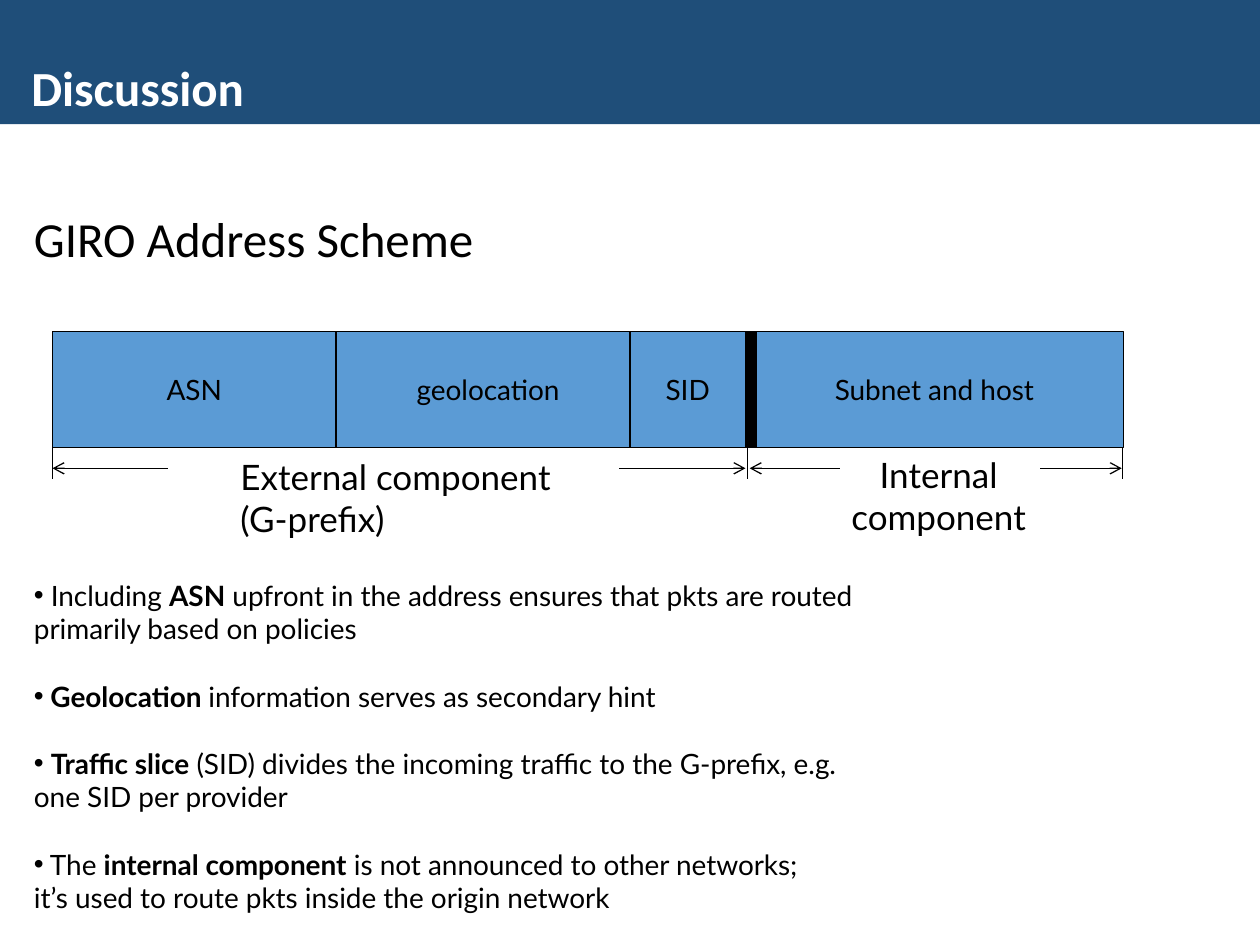
from lxml import etree
from pptx import Presentation
from pptx.dml.color import RGBColor
from pptx.enum import shapes, text
from pptx.oxml import ns
from pptx.util import Pt

COLORS = {"band": "1F4E79", "field": "5B9BD5", "ink": "000000", "paper": "FFFFFF"}
HEADING = "Discussion"
SCHEME = "GIRO Address Scheme"
FIELDS = [
    ("ASN", 30, 162),
    ("geolocation", 192, 174),
    ("SID", 360, 66),
    ("Subnet and host", 426, 216),
]
FIELD_TOP, FIELD_HEIGHT, DIVIDER_WIDTH = 189.4, 66.2, 6
TICKS = [30, 427, 641.5]
ARROWS = [(30, 96), (426, 354), (428.4, 480), (641, 594)]
COMPONENTS = [
    (["External component", "(G-prefix)"], (130.3, 257, 203, 55.4), "LEFT"),
    (["Internal component"], (467.3, 255.6, 138.2, 55.4), "CENTER"),
]
POINTS = [
    [(" Including ", False), ("ASN", True),
     (" upfront in the address ensures that pkts are routed\nprimarily based on policies", False)],
    [(" Geolocation ", True), ("information serves as secondary hint", False)],
    [(" ", False), ("Traffic slice", True),
     (" (SID) divides the incoming traffic to the G-prefix, e.g.\none SID per provider", False)],
    [(" The ", False), ("internal component", True),
     (" is not announced to other networks; \nit’s used to route pkts inside the origin network", False)],
]


def rgb(name):
    return RGBColor.from_string(COLORS[name])


def style(paragraph, size, font="Lato", color="ink", align="LEFT", bold=False):
    paragraph.alignment = getattr(text.PP_ALIGN, align)
    paragraph.font.name = font
    paragraph.font.size = Pt(size)
    paragraph.font.bold = bold
    paragraph.font.color.rgb = rgb(color)


def place(shape, left, top, width, height):
    shape.left, shape.top, shape.width, shape.height = map(Pt, (left, top, width, height))


def add_box(slide, left, top, width, height, fill, outlined=True):
    box = slide.shapes.add_shape(
        shapes.MSO_SHAPE.RECTANGLE, Pt(left), Pt(top), Pt(width), Pt(height))
    box.shadow.inherit = False
    box.fill.solid()
    box.fill.fore_color.rgb = rgb(fill)
    if outlined:
        box.line.color.rgb = rgb("ink")
        box.line.width = Pt(0.75)
    else:
        box.line.fill.background()
    return box


def add_line(slide, x1, y1, x2, y2, arrow=False):
    line = slide.shapes.add_connector(
        shapes.MSO_CONNECTOR.STRAIGHT, Pt(x1), Pt(y1), Pt(x2), Pt(y2))
    line.line.color.rgb = rgb("ink")
    line.line.width = Pt(0.75)
    properties = line._element.spPr
    if arrow:
        etree.SubElement(properties.find(ns.qn("a:ln")), ns.qn("a:headEnd"), type="arrow")
    etree.SubElement(properties, ns.qn("a:effectLst"))


def add_label(slide, lines, bounds, wrap=True, **look):
    label = slide.shapes.add_textbox(*map(Pt, bounds)).text_frame
    label.word_wrap = wrap
    label.text = "\n".join(lines)
    for paragraph in label.paragraphs:
        style(paragraph, **look)


def fill_points(body):
    place(body, 12.2, 326.9, 547.2, 208)
    frame = body.text_frame
    frame.auto_size = text.MSO_AUTO_SIZE.NONE
    for index, runs in enumerate(POINTS):
        paragraph = frame.add_paragraph() if index else frame.paragraphs[0]
        style(paragraph, 16)
        paragraph.space_before = Pt(19.2 if index else 0)
        properties = paragraph._p.get_or_add_pPr()
        properties.set("marL", "0")
        properties.set("indent", "0")
        for words, bold in runs:
            for part, line in enumerate(words.split("\n")):
                if part:
                    paragraph.add_line_break()
                run = paragraph.add_run()
                run.text = line
                run.font.bold = bold


def main():
    """Build the discussion slide on the GIRO address scheme."""
    deck = Presentation()
    deck.slide_width, deck.slide_height = Pt(720), Pt(540)
    slide = deck.slides.add_slide(deck.slide_layouts[1])

    scheme = slide.shapes.title
    place(scheme, 12.2, 92.9, 612, 90)
    scheme.text_frame.text = SCHEME
    scheme.text_frame.auto_size = text.MSO_AUTO_SIZE.NONE
    scheme.text_frame.vertical_anchor = text.MSO_ANCHOR.MIDDLE
    style(scheme.text_frame.paragraphs[0], 28, font="Calibri")
    scheme.text_frame.paragraphs[0].line_spacing = 0.9
    fill_points(slide.placeholders[1])

    for name, left, width in FIELDS:
        field = add_box(slide, left, FIELD_TOP, width, FIELD_HEIGHT, "field")
        field.text_frame.text = name
        field.text_frame.word_wrap = False
        field.text_frame.vertical_anchor = text.MSO_ANCHOR.MIDDLE
        style(field.text_frame.paragraphs[0], 16, align="CENTER")
    add_box(slide, FIELDS[-1][1], FIELD_TOP, DIVIDER_WIDTH, FIELD_HEIGHT, "ink")

    field_bottom = FIELD_TOP + FIELD_HEIGHT
    for x in TICKS:
        add_line(slide, x, field_bottom, x, field_bottom + 18)
    for tip, end in ARROWS:
        add_line(slide, tip, field_bottom + 12, end, field_bottom + 12, arrow=True)
    for lines, bounds, align in COMPONENTS:
        add_label(slide, lines, bounds, size=20, align=align)

    add_box(slide, 0, 0, 720, 71, "band", outlined=False)
    add_label(slide, [HEADING], (10.8, 29.5, 137.5, 41), wrap=False,
              size=28, font="Calibri", color="paper", bold=True)
    deck.save("out.pptx")


if __name__ == "__main__":
    main()
